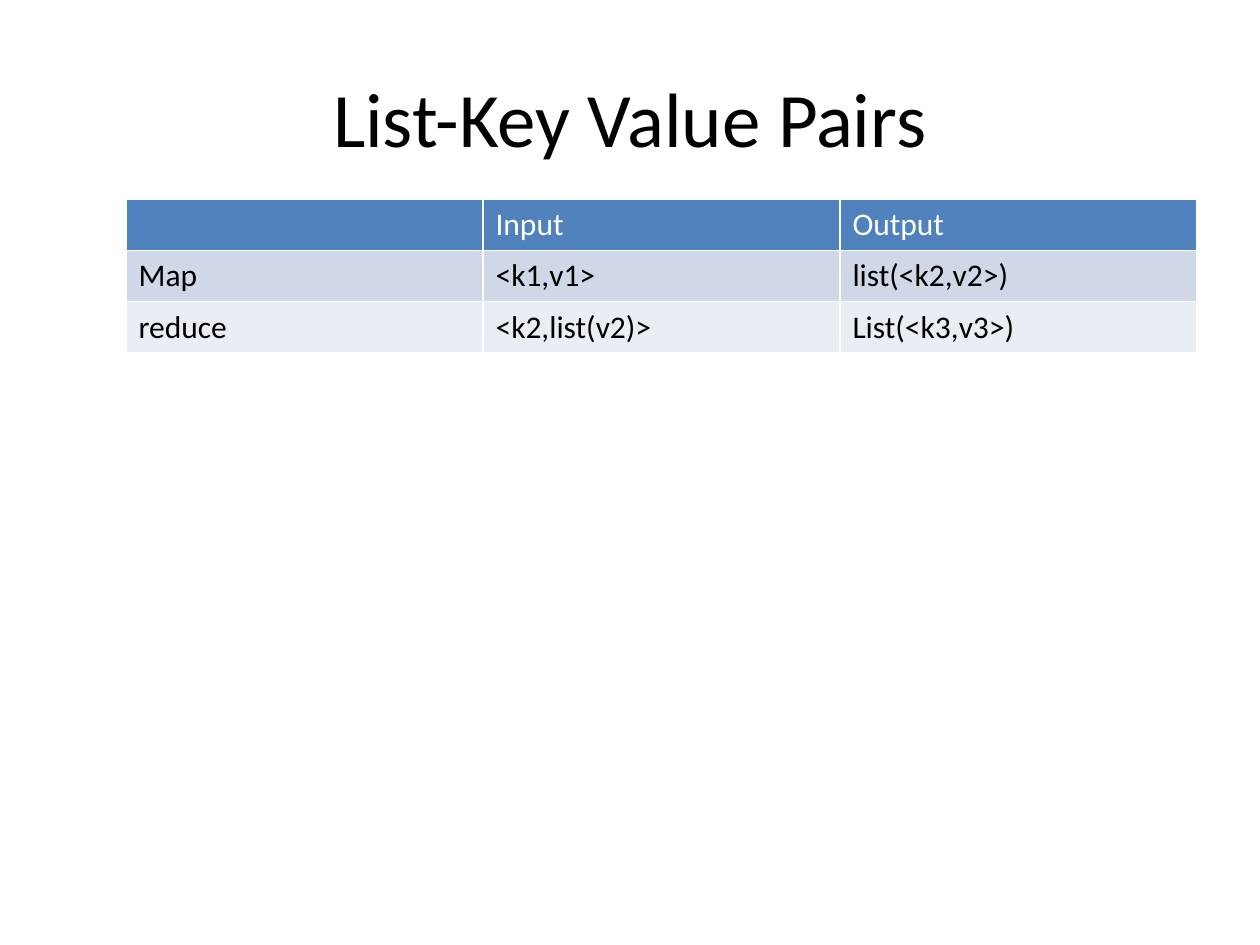
import dataclasses

import pptx
import pptx.dml.color
import pptx.enum.text
import pptx.util

Pt = pptx.util.Pt
RGBColor = pptx.dml.color.RGBColor

BLACK = RGBColor(0x00, 0x00, 0x00)
WHITE = RGBColor(0xFF, 0xFF, 0xFF)
HEADER_BLUE = RGBColor(0x4F, 0x81, 0xBD)
BAND_DARK = RGBColor(0xD0, 0xD8, 0xE8)
BAND_LIGHT = RGBColor(0xE9, 0xED, 0xF4)

COLUMN_WIDTH = 204
ROW_HEIGHT = 29.2


@dataclasses.dataclass(frozen=True)
class TableRow:
    texts: tuple[str, ...]
    fill: RGBColor
    color: RGBColor = BLACK


ROWS = (
    TableRow(("", "Input", "Output"), HEADER_BLUE, WHITE),
    TableRow(("Map", "<k1,v1>", "list(<k2,v2>)"), BAND_DARK),
    TableRow(("reduce", "<k2,list(v2)>", "List(<k3,v3>)"), BAND_LIGHT),
)


def write_text(
    text_frame: pptx.text.text.TextFrame,
    text: str,
    *,
    size: float = 18,
    color: RGBColor = BLACK,
    alignment: pptx.enum.text.PP_ALIGN = pptx.enum.text.PP_ALIGN.LEFT,
) -> None:
    text_frame.text = text
    paragraph = text_frame.paragraphs[0]
    paragraph.alignment = alignment
    for run in paragraph.runs:
        run.font.name = "Calibri"
        run.font.size = Pt(size)
        run.font.bold = False
        run.font.color.rgb = color


def add_title(slide: pptx.slide.Slide, text: str) -> None:
    title = slide.shapes.title
    title.left, title.top = Pt(36), Pt(21.6)
    title.width, title.height = Pt(648), Pt(90)
    title.text_frame.vertical_anchor = pptx.enum.text.MSO_ANCHOR.MIDDLE
    write_text(
        title.text_frame, text, size=44, alignment=pptx.enum.text.PP_ALIGN.CENTER
    )


def add_pairs_table(slide: pptx.slide.Slide, rows: tuple[TableRow, ...]) -> None:
    column_count = len(rows[0].texts)
    table = slide.shapes.add_table(
        len(rows),
        column_count,
        Pt(72),
        Pt(114),
        Pt(COLUMN_WIDTH * column_count),
        Pt(ROW_HEIGHT * len(rows)),
    ).table
    for table_row, row in zip(table.rows, rows):
        table_row.height = Pt(ROW_HEIGHT)
        for cell, text in zip(table_row.cells, row.texts):
            cell.fill.solid()
            cell.fill.fore_color.rgb = row.fill
            write_text(cell.text_frame, text, color=row.color)


def main() -> None:
    presentation = pptx.Presentation()
    presentation.slide_width = Pt(720)
    presentation.slide_height = Pt(540)
    title_only = presentation.slide_layouts.get_by_name("Title Only")
    slide = presentation.slides.add_slide(title_only)
    add_title(slide, "List-Key Value Pairs")
    add_pairs_table(slide, ROWS)
    presentation.save("out.pptx")


main()
